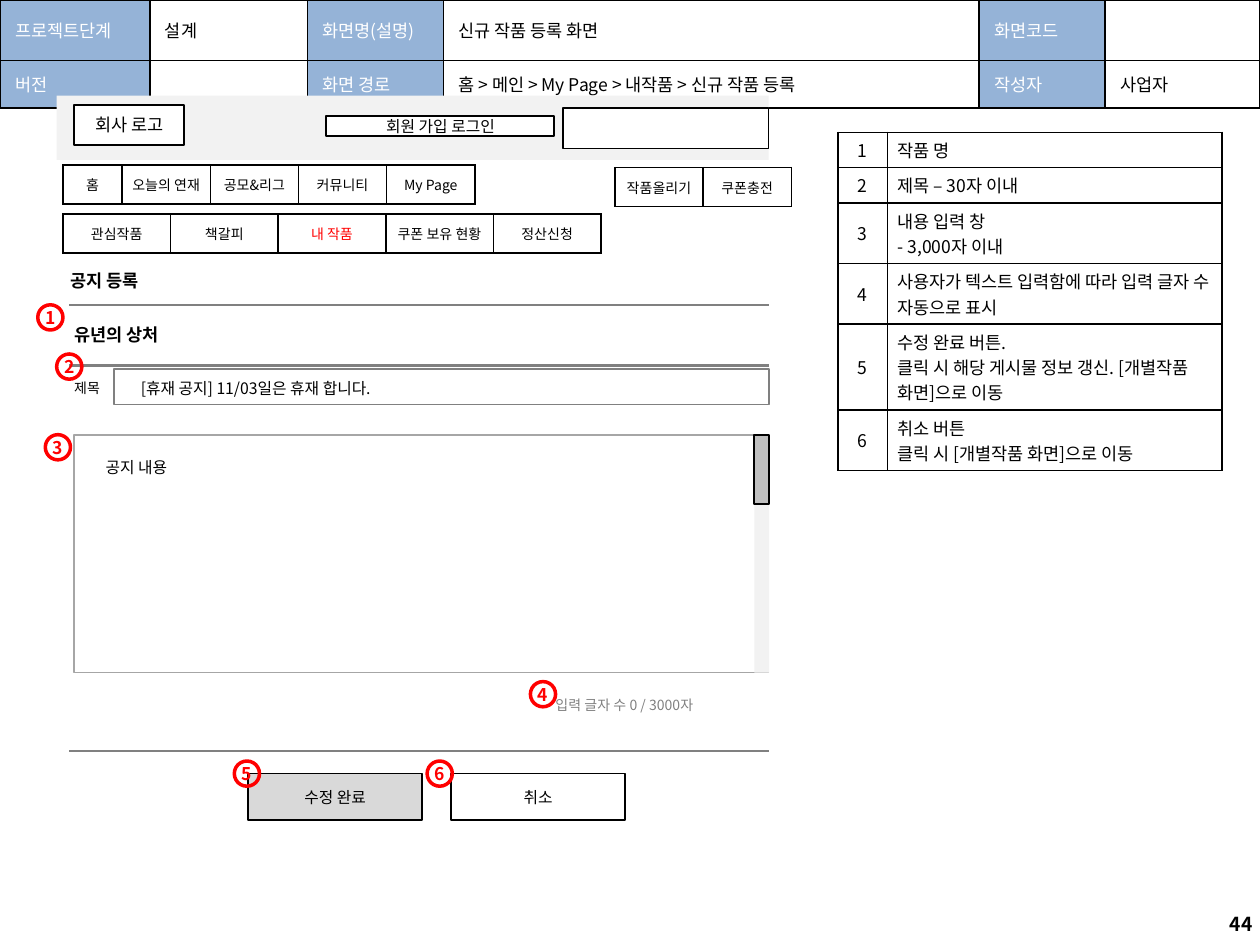
from copy import deepcopy

from lxml.etree import SubElement
from pptx import Presentation
from pptx.dml.color import RGBColor
from pptx.enum.shapes import MSO_CONNECTOR, MSO_SHAPE
from pptx.enum.text import MSO_ANCHOR, MSO_AUTO_SIZE, PP_ALIGN
from pptx.oxml import parse_xml
from pptx.oxml.ns import nsdecls, qn
from pptx.util import Pt

FONT = "Noto Sans CJK KR"
COLORS = {
    "black": "000000", "white": "FFFFFF", "red": "FF0000", "header": "95B3D7",
    "band": "F2F2F2", "thumb": "BFBFBF", "button": "D9D9D9", "rule": "808080",
    "frame": "A6A6A6",
}
ALIGN = {"l": PP_ALIGN.LEFT, "c": PP_ALIGN.CENTER, "r": PP_ALIGN.RIGHT}
LEFT, RIGHT = 39.6, 439.2
HEADER_ROWS = [
    ["프로젝트단계", "설계", "화면명(설명)", "신규 작품 등록 화면", "화면코드", ""],
    ["버전", "", "화면 경로", "홈 > 메인 > My Page > 내작품 > 신규 작품 등록", "작성자", "사업자"],
]
NOTES = [
    "작품 명",
    "제목 – 30자 이내",
    "내용 입력 창\n- 3,000자 이내",
    "사용자가 텍스트 입력함에 따라 입력 글자 수 자동으로 표시",
    "수정 완료 버튼.\n클릭 시 해당 게시물 정보 갱신. [개별작품 화면]으로 이동",
    "취소 버튼\n클릭 시 [개별작품 화면]으로 이동",
]
MAIN_MENU = ["홈", "오늘의 연재", "공모&리그", "커뮤니티", "My Page"]
SUB_MENU = ["관심작품", "책갈피", "내 작품", "쿠폰 보유 현황", "정산신청"]
SHORTCUTS = ["작품올리기", "쿠폰충전"]
MARKERS = [(21.6, 174.2), (32.4, 202.3), (25.9, 248.4), (303.1, 389.5),
           (133.9, 434.9), (244.1, 434.9)]


def rgb(name):
    """Return the named colour."""
    return RGBColor.from_string(COLORS[name])


def write(tf, text, size=10, color="black", bold=False, align="l", spacing=None):
    """Write one formatted paragraph into a text frame."""
    p = tf.paragraphs[0]
    p.text = text.replace("\n", "\v")
    p.alignment = ALIGN[align]
    if spacing:
        p.line_spacing = spacing
    for r in p.runs:
        r.font.size, r.font.bold, r.font.name = Pt(size), bold, FONT
        r.font.color.rgb = rgb(color)
        SubElement(r.font._element, qn("a:ea"), typeface=FONT)
    for br in p._p.findall(qn("a:br")):
        br.insert(0, deepcopy(p.runs[0].font._element))
    if not text:
        p._p.get_or_add_endParaRPr().set("sz", str(size * 100))


def set_insets(obj, x, y):
    """Set the horizontal and vertical margins of a cell or text frame."""
    obj.margin_left = obj.margin_right = Pt(x)
    obj.margin_top = obj.margin_bottom = Pt(y)


def add_box(s, x, y, w, h, text="", fill=None, line=None, width=1,
            shape=MSO_SHAPE.RECTANGLE, inset=(7.2, 3.6), **fmt):
    """Add a preset shape with optional centred text."""
    sp = s.shapes.add_shape(shape, Pt(x), Pt(y), Pt(w), Pt(h))
    sp.shadow.inherit = False
    if fill:
        sp.fill.solid()
        sp.fill.fore_color.rgb = rgb(fill)
    else:
        sp.fill.background()
    if line:
        sp.line.color.rgb = rgb(line)
        sp.line.width = Pt(width)
    else:
        sp.line.fill.background()
    if text:
        tf = sp.text_frame
        tf.vertical_anchor = MSO_ANCHOR.MIDDLE
        set_insets(tf, *inset)
        write(tf, text, align="c", **fmt)


def add_label(s, x, y, w, h, text, wrap=True, grow=False, inset=(7.2, 3.6), **fmt):
    """Add a text box, top-anchored when it grows with its text."""
    tf = s.shapes.add_textbox(Pt(x), Pt(y), Pt(w), Pt(h)).text_frame
    tf.word_wrap = wrap
    tf.auto_size = MSO_AUTO_SIZE.SHAPE_TO_FIT_TEXT if grow else MSO_AUTO_SIZE.NONE
    tf.vertical_anchor = MSO_ANCHOR.TOP if grow else MSO_ANCHOR.MIDDLE
    set_insets(tf, *inset)
    write(tf, text, **fmt)


def add_rule(s, y):
    """Add a horizontal divider across the content area."""
    cx = s.shapes.add_connector(MSO_CONNECTOR.STRAIGHT, Pt(LEFT), Pt(y), Pt(RIGHT), Pt(y))
    cx.line.color.rgb = rgb("rule")
    cx.line.width = Pt(1.5)
    SubElement(cx._element.spPr, qn("a:effectLst"))


def add_borders(cell):
    """Draw a thin black line on each side of a cell."""
    tc_pr = cell._tc.get_or_add_tcPr()
    for i, side in enumerate(("lnL", "lnR", "lnT", "lnB")):
        tc_pr.insert(i, parse_xml(
            f'<a:{side} {nsdecls("a")} w="{Pt(1)}"><a:solidFill>'
            f'<a:srgbClr val="{COLORS["black"]}"/></a:solidFill></a:{side}>'))


def add_grid(s, x, y, widths, height, rows, style, inset):
    """Add a bordered table; style(column, text) gives the fill and text format."""
    table = s.shapes.add_table(len(rows), len(widths), Pt(x), Pt(y), Pt(sum(widths)),
                               Pt(height * len(rows))).table
    table.first_row = table.horz_banding = False
    for column, width in zip(table.columns, widths):
        column.width = Pt(width)
    for i, row in enumerate(rows):
        table.rows[i].height = Pt(height)
        for j, text in enumerate(row):
            cell = table.cell(i, j)
            fill, fmt = style(j, text)
            if fill:
                cell.fill.solid()
                cell.fill.fore_color.rgb = rgb(fill)
            else:
                cell.fill.background()
            cell.vertical_anchor = MSO_ANCHOR.MIDDLE
            set_insets(cell, *inset)
            write(cell.text_frame, text, **fmt)
            add_borders(cell)


def header_style(j, text):
    """Style caption columns white on blue."""
    return (None, {}) if j % 2 else ("header", {"color": "white"})


def note_style(j, text):
    """Centre the number column."""
    return None, {"align": "l" if j else "c"}


def menu_style(j, text):
    """Style menu entries, with the current page in red."""
    color = "red" if text == "내 작품" else "black"
    return "white", {"size": 8, "align": "c", "color": color}


def add_menu(s, x, y, widths, entries):
    """Add a one-row menu."""
    add_grid(s, x, y, widths, 22.3, [entries], menu_style, (2.9, 3.6))


def add_top(s):
    """Add the site banner and its menus."""
    add_menu(s, 36, 122.4, [61.5] * 5, SUB_MENU)
    add_box(s, 32.4, 54.7, 406.8, 36.7, fill="band")
    add_menu(s, 36, 94.3, [33.8] + [50.4] * 4, MAIN_MENU)
    add_box(s, 42.5, 59.8, 62.6, 23, "회사 로고", fill="white", line="black")
    add_box(s, 186.5, 66.2, 130.3, 11.5, "회원 가입 로그인", fill="white", line="black", size=9)
    add_box(s, 321.8, 61.9, 117.4, 23, fill="white", line="black")
    add_menu(s, 351.4, 95.8, [50.4] * 2, SHORTCUTS)


def add_form(s):
    """Add the notice form with its scroll bar and buttons."""
    heading = {"bold": True, "inset": (5.8, 2.9)}
    entry = {"wrap": False, "grow": True, "spacing": 1.5}
    add_label(s, 34.6, 151.9, 154, 16.6, "공지 등록", **heading)
    add_label(s, 36.7, 182.9, 154, 16.6, "유년의 상처", **heading)
    for y in (174.2, 208.8, 429.1):
        add_rule(s, y)
    add_label(s, 35.3, 208.8, 29.5, 20.2, "제목", size=8, **entry)
    add_box(s, 65.3, 211, 374.2, 20.2, line="rule")
    add_label(s, 73.4, 207.4, 154, 23.8, "[휴재 공지] 11/03일은 휴재 합니다.", size=9, **entry)
    add_box(s, 42.5, 248.4, 396.7, 136, fill="white", line="frame")
    add_label(s, 53.3, 252.7, 51.1, 21.6, "공지 내용", size=9, **entry)
    add_box(s, 431, 248.4, 8.6, 136, fill="band")
    add_box(s, 431, 248.4, 8.6, 39.6, fill="thumb", line="black")
    add_label(s, 310.3, 389.5, 128.2, 20.2, "입력 글자 수 0 / 3000자", grow=True,
              size=8, color="rule", spacing=1.5)
    for x, text, fill in ((141.8, "수정 완료", "button"), (257.8, "취소", "white")):
        add_box(s, x, 442.1, 99.4, 26.6, text, fill=fill, line="black", size=9)


def main():
    """Build and save the screen design slide."""
    prs = Presentation()
    prs.slide_width, prs.slide_height = Pt(720), Pt(540)
    s = prs.slides.add_slide(prs.slide_layouts[6])
    add_grid(s, 0, 0, [85.7, 90, 77.8, 306, 72, 88.5], 27, HEADER_ROWS,
             header_style, (8.6, 2.9))
    notes = [[str(i), text] for i, text in enumerate(NOTES, 1)]
    add_grid(s, 478.8, 75.6, [28.4, 191], 19.6, notes, note_style, (5.8, 2.9))
    add_label(s, 555.1, 513.4, 167.8, 28.8, "44", size=11, bold=True, align="r")
    add_top(s)
    add_form(s)
    for i, (x, y) in enumerate(MARKERS, 1):
        add_box(s, x, y, 14.4, 14.4, str(i), line="red", width=2, color="red",
                bold=True, shape=MSO_SHAPE.OVAL, inset=(0, 0))
    prs.save("out.pptx")


if __name__ == "__main__":
    main()
